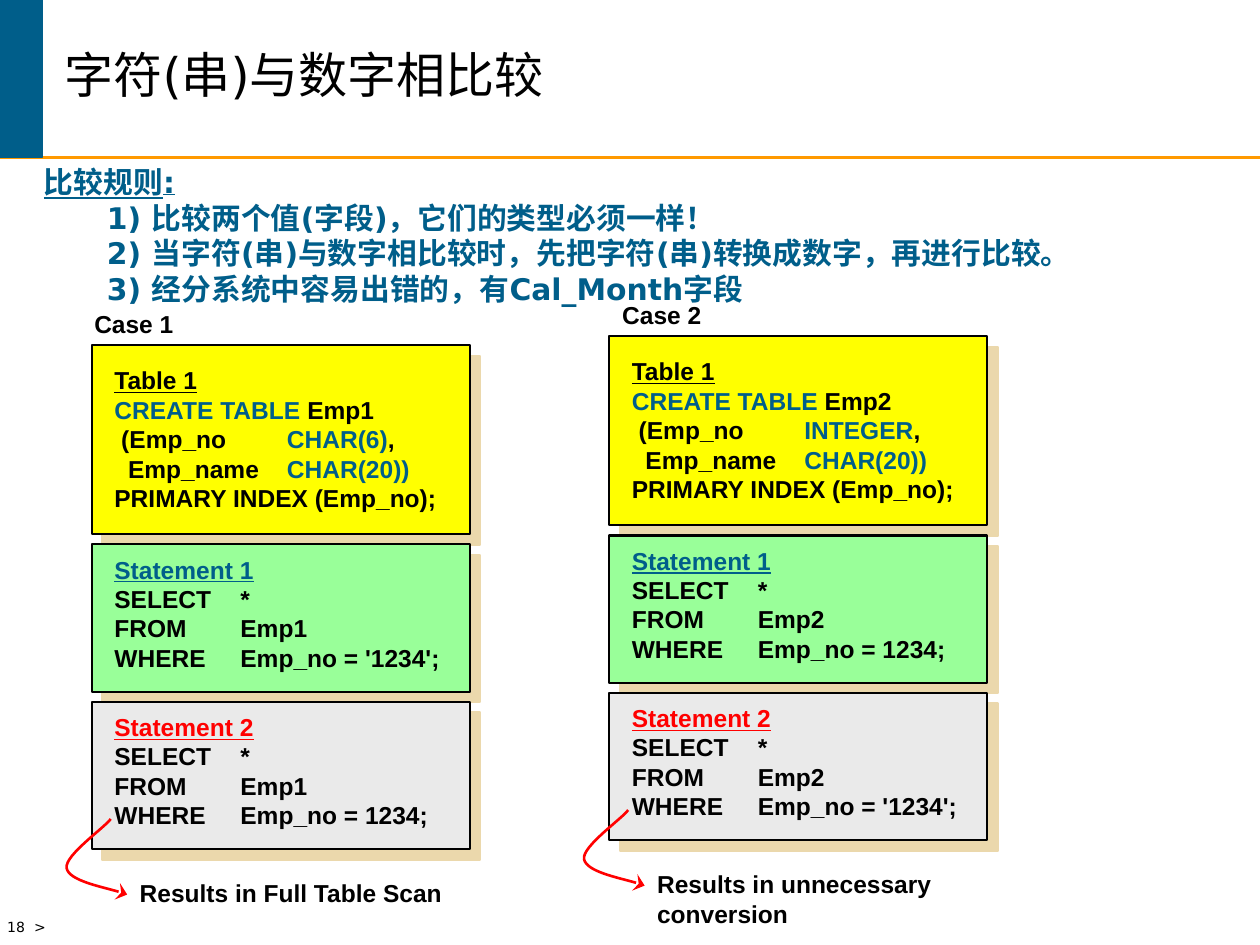
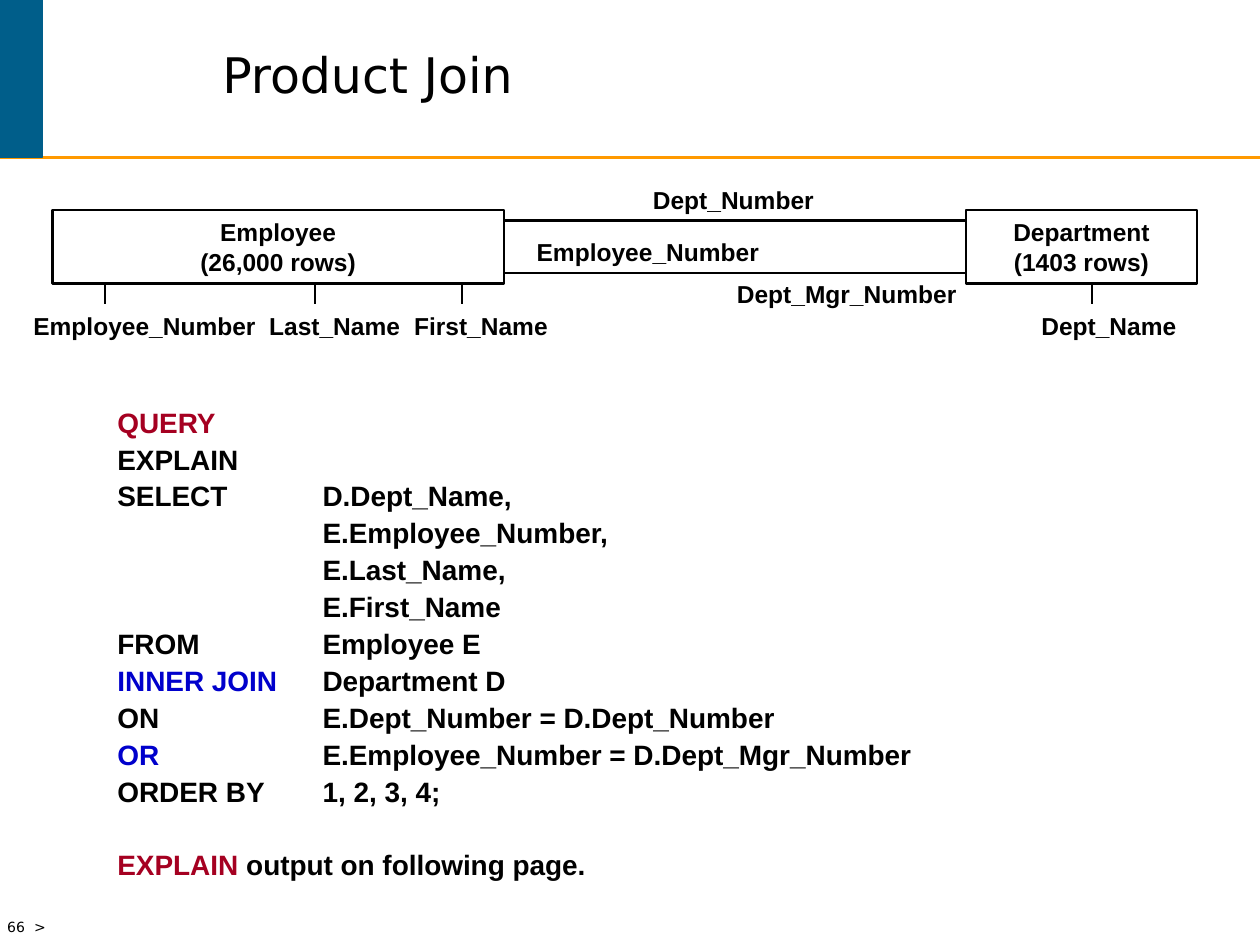
from dataclasses import dataclass
from typing import NamedTuple

from lxml import etree
from pptx import Presentation
from pptx.dml.color import RGBColor
from pptx.enum.shapes import MSO_CONNECTOR, MSO_SHAPE
from pptx.enum.text import MSO_ANCHOR, MSO_AUTO_SIZE, PP_ALIGN
from pptx.oxml.ns import qn
from pptx.util import Pt

BLACK, WHITE, TEAL, ORANGE = "000000", "FFFFFF", "005E8A", "FF9900"
YELLOW, GREEN, GREY, TAN = "FFFF00", "99FF99", "EAEAEA", "EBD8AC"
RED, CRIMSON, BLUE = "FF0000", "A50021", "0000CC"
SANS, BODY = "DejaVu Sans", "Arial"
SLIDE_W, SLIDE_H, BAND_H = 720, 540, 90


class Run(NamedTuple):
    text: str
    color: str | None = None
    underline: bool = False


@dataclass
class Para:
    runs: list[Run]
    tabs: tuple[float, ...] = ()
    indent: float = 0
    spacing: float | None = None
    before: float = 0


class Box(NamedTuple):
    x: float
    y: float
    w: float
    h: float

    def lengths(self):
        return [Pt(v) for v in self]


@dataclass
class Case:
    name: str
    x: float
    y: float
    label_x: float
    table: str
    key_type: str
    values: tuple[str, str]
    result: str


CASES = [
    Case("Case 1", 52.5, 197.3, 46.8, "Emp1", "CHAR(6)", ("'1234'", "1234"),
         "Results in Full Table Scan"),
    Case("Case 2", 348.2, 192.2, 348.5, "Emp2", "INTEGER", ("1234", "'1234'"),
         "Results in unnecessary conversion"),
]
RULES = [
    "1) 比较两个值(字段)，它们的类型必须一样！",
    "2) 当字符(串)与数字相比较时，先把字符(串)转换成数字，再进行比较。",
    "3) 经分系统中容易出错的，有Cal_Month字段",
]
QUERY = [
    ("EXPLAIN", "", BLACK),
    ("SELECT", "D.Dept_Name,", BLACK),
    ("", "E.Employee_Number,", BLACK),
    ("", "E.Last_Name,", BLACK),
    ("", "E.First_Name", BLACK),
    ("FROM", "Employee E", BLACK),
    ("INNER JOIN", "Department D", BLUE),
    ("ON", "E.Dept_Number = D.Dept_Number", BLACK),
    ("OR", "E.Employee_Number = D.Dept_Mgr_Number", BLUE),
    ("ORDER BY", "1, 2, 3, 4;", BLACK),
]
# Start, then two Bézier segments, relative to the corner of the case.
ARROW = [(10.8, 270.7), (7.2, 275.8), (-15.8, 291.6), (-14.4, 298.8),
         (-13, 306), (13, 311), (20.2, 313.9)]


def rgb(value: str) -> RGBColor:
    return RGBColor.from_string(value)


def write(tf, paras, *, size=14, font=BODY, color=BLACK, bold=True,
          align=PP_ALIGN.LEFT, anchor=MSO_ANCHOR.TOP, grow=True):
    """Fill a text frame from a string or a list of Para."""
    if isinstance(paras, str):
        paras = [Para([Run(paras)])]
    tf.word_wrap = True
    tf.vertical_anchor = anchor
    tf.auto_size = MSO_AUTO_SIZE.SHAPE_TO_FIT_TEXT if grow else MSO_AUTO_SIZE.NONE
    for i, para in enumerate(paras):
        p = tf.add_paragraph() if i else tf.paragraphs[0]
        p.alignment = align
        if para.spacing:
            p.line_spacing = para.spacing
        if para.before:
            p.space_before = Pt(para.before)
        p_pr = p._p.get_or_add_pPr()
        if para.indent:
            p_pr.set("marL", str(Pt(para.indent)))
        if para.tabs:
            stops = etree.SubElement(p_pr, qn("a:tabLst"))
            for pos in para.tabs:
                etree.SubElement(stops, qn("a:tab"), pos=str(Pt(pos)), algn="l")
        for run in para.runs:
            r = p.add_run()
            r.text = run.text
            r.font.size, r.font.name, r.font.bold = Pt(size), font, bold
            r.font.underline = run.underline
            r.font.color.rgb = rgb(run.color or color)


def add_text(slide, box: Box, paras, **fmt):
    write(slide.shapes.add_textbox(*box.lengths()).text_frame, paras, **fmt)


def add_rect(slide, box: Box, fill: str, line: str, width: float):
    sp = slide.shapes.add_shape(MSO_SHAPE.RECTANGLE, *box.lengths())
    sp.shadow.inherit = False
    sp.fill.solid()
    sp.fill.fore_color.rgb = rgb(fill)
    sp.line.color.rgb = rgb(line)
    sp.line.width = Pt(width)
    return sp


def add_shadow(sp):
    effects = sp._element.spPr.find(qn("a:effectLst"))
    shadow = etree.SubElement(effects, qn("a:outerShdw"), dist=str(Pt(8.5)),
                              dir="2700000", algn="ctr", rotWithShape="0")
    etree.SubElement(shadow, qn("a:srgbClr"), val=TAN)


def add_line(slide, x1: float, y1: float, x2: float, y2: float, color=BLACK):
    line = slide.shapes.add_connector(
        MSO_CONNECTOR.STRAIGHT, Pt(x1), Pt(y1), Pt(x2), Pt(y2))
    line.line.color.rgb = rgb(color)
    line.line.width = Pt(1.5)
    etree.SubElement(line._element.spPr, qn("a:effectLst"))


def add_curved_arrow(slide, points):
    """Draw a Bézier arrow; points hold the start and three per segment."""
    pts = [(Pt(x), Pt(y)) for x, y in points]
    builder = slide.shapes.build_freeform(*pts[0])
    builder.add_line_segments(pts[1:], close=False)
    sp = builder.convert_to_shape()
    sp.shadow.inherit = False
    sp.fill.background()
    sp.line.color.rgb = rgb(RED)
    sp.line.width = Pt(1.5)
    etree.SubElement(sp.line._get_or_add_ln(), qn("a:tailEnd"), type="stealth",
                     w="lg", len="med")
    path = next(sp._element.iter(qn("a:path")))
    steps = path.findall(qn("a:lnTo"))
    for i in range(0, len(steps), 3):
        curve = etree.SubElement(path, qn("a:cubicBezTo"))
        for step in steps[i:i + 3]:
            curve.append(step[0])
            path.remove(step)


def new_slide(prs, title: str, title_x: float, number: int):
    slide = prs.slides.add_slide(prs.slide_layouts[6])
    add_line(slide, 0, BAND_H, SLIDE_W, BAND_H, ORANGE)
    add_rect(slide, Box(0, 0, 24, BAND_H), TEAL, TEAL, 1)
    add_text(slide, Box(-3, 521.3, 99, 18.7),
             [Para([Run(f"{number}\t>")], tabs=(15.4,))],
             size=8, font=SANS, bold=False)
    add_text(slide, Box(title_x, 0, 570, BAND_H),
             [Para([Run(title)], spacing=0.85)], size=28, font=SANS,
             bold=False, grow=False, anchor=MSO_ANCHOR.MIDDLE)
    return slide


def table_definition(case: Case) -> list[Para]:
    column = 98.6
    return [
        Para([Run("Table 1", underline=True)]),
        Para([Run("CREATE TABLE", TEAL), Run(f" {case.table}")]),
        Para([Run("\t(Emp_no\t"), Run(case.key_type, TEAL), Run(",")],
             tabs=(3.9, column)),
        Para([Run("\tEmp_name\t"), Run("CHAR(20))", TEAL)], tabs=(7.8, column)),
        Para([Run("PRIMARY INDEX (Emp_no);")]),
    ]


def statement(heading: str, color: str, table: str, value: str) -> list[Para]:
    clauses = ["SELECT\t*", f"FROM\t{table}", f"WHERE\tEmp_no = {value};"]
    return [Para([Run(heading, color, True)])] + [
        Para([Run(c)], tabs=(72,)) for c in clauses]


def draw_case(slide, case: Case):
    add_text(slide, Box(case.label_x, case.y - 24.5, 72, 24.5), case.name)
    first, second = case.values
    panels = [
        (0, 108, 7.9, YELLOW, table_definition(case)),
        (113.8, 84.2, 2.2, GREEN,
         statement("Statement 1", TEAL, case.table, first)),
        (203.8, 84.2, 2.2, GREY,
         statement("Statement 2", RED, case.table, second)),
    ]
    for top, height, pad, fill, paras in panels:
        y = case.y + top
        add_shadow(add_rect(slide, Box(case.x, y, 216, height), fill, BLACK, 1.25))
        add_text(slide, Box(case.x + 5.8, y + pad, 210, height - 2 * pad), paras)
    add_text(slide, Box(case.x + 20.2, case.y + 301, 195, 24.5), case.result)
    add_curved_arrow(slide, [(case.x + x, case.y + y) for x, y in ARROW])


def comparison_slide(prs):
    slide = new_slide(prs, "字符(串)与数字相比较", 30, 18)
    rules = [Para([Run("比较规则:", underline=True)])]
    rules += [Para([Run(rule)], indent=36) for rule in RULES]
    add_text(slide, Box(18, BAND_H, 702, 89.3), rules, size=17, font=SANS,
             color=TEAL)
    for case in CASES:
        draw_case(slide, case)


def product_join_slide(prs):
    slide = new_slide(prs, "Product Join", 120, 66)
    column = (117.2,)
    paras = [Para([Run("QUERY", CRIMSON)])]
    for keyword, operand, color in QUERY:
        runs = [Run(keyword, color)] if keyword else []
        if operand:
            runs.append(Run(f"\t{operand}"))
        paras.append(Para(runs, tabs=column, spacing=1.1))
    paras.append(Para([Run("EXPLAIN ", CRIMSON), Run("output on following page.")],
                      spacing=1.1, before=21))
    add_text(slide, Box(60, 228, 636, 279.4), paras, size=16)

    top, height = 120, 42
    bottom = top + height
    for x, width, name, rows in [(30, 258, "Employee", "26,000"),
                                 (552, 132, "Department", "1403")]:
        sp = add_rect(slide, Box(x, top, width, height), WHITE, BLACK, 1.5)
        write(sp.text_frame, [Para([Run(name)]), Para([Run(f"({rows} rows)")])],
              align=PP_ALIGN.CENTER, anchor=MSO_ANCHOR.MIDDLE, grow=False)
    for y in (126, 156):
        add_line(slide, 288, y, 552, y)
    for x in (60, 180, 264, 624):
        add_line(slide, x, bottom, x, bottom + 12)

    columns = "Employee_Number\tLast_Name\tFirst_Name\tDept_Name"
    add_text(slide, Box(12, 174, 690, 24.5),
             [Para([Run(columns)], tabs=(134.8, 217.6, 576))])
    for x, y, key in [(366, 102, "Dept_Number"),
                      (299.6, 132, "Employee_Number"),
                      (414, 156, "Dept_Mgr_Number")]:
        add_text(slide, Box(x, y, 150, 24.5), key)


def main():
    prs = Presentation()
    prs.slide_width, prs.slide_height = Pt(SLIDE_W), Pt(SLIDE_H)
    comparison_slide(prs)
    product_join_slide(prs)
    prs.save("out.pptx")


if __name__ == "__main__":
    main()
